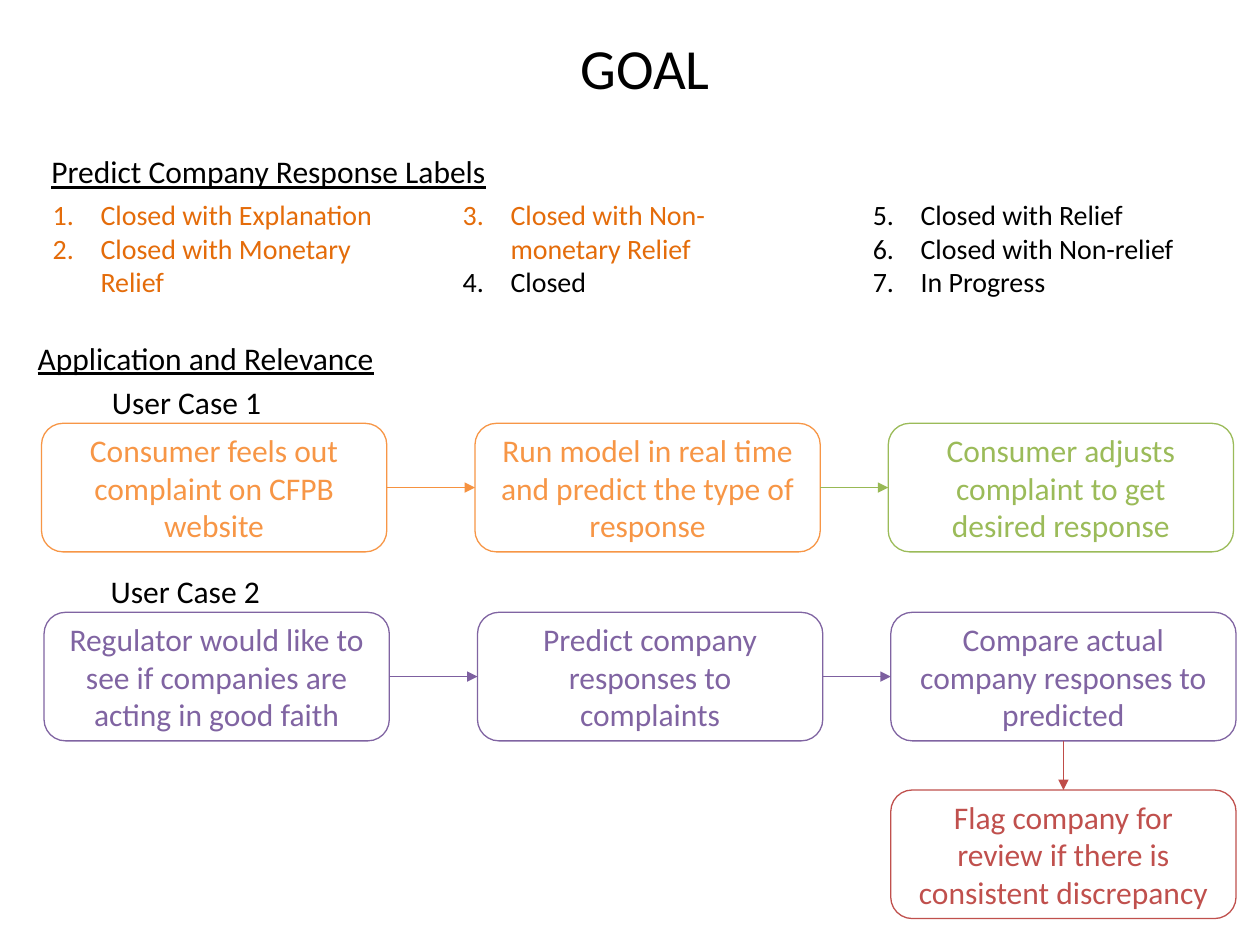
"""Build the GOAL slide: response labels and two user-case flows."""
import pptx
import pptx.dml.color
import pptx.enum.shapes
import pptx.enum.text
import pptx.oxml.ns
import pptx.util
from lxml import etree

RGBColor = pptx.dml.color.RGBColor
Inches = pptx.util.Inches
Pt = pptx.util.Pt
ALIGN = pptx.enum.text.PP_ALIGN
ANCHOR = pptx.enum.text.MSO_ANCHOR
AUTO_SIZE = pptx.enum.text.MSO_AUTO_SIZE
qn = pptx.oxml.ns.qn

BLACK = RGBColor(0x00, 0x00, 0x00)
DARK_ORANGE = RGBColor(0xE4, 0x6C, 0x0A)
ORANGE = RGBColor(0xF7, 0x96, 0x46)
ORANGE_ARROW = RGBColor(0xF6, 0x92, 0x40)
GREEN = RGBColor(0x9B, 0xBB, 0x59)
GREEN_ARROW = RGBColor(0x98, 0xB9, 0x55)
PURPLE = RGBColor(0x80, 0x64, 0xA2)
PURPLE_ARROW = RGBColor(0x7D, 0x60, 0xA0)
RED = RGBColor(0xC0, 0x50, 0x4D)
RED_ARROW = RGBColor(0xBF, 0x4C, 0x48)

STEP_COLUMNS = (0.33, 3.77, 7.05)
STEP_SIZE = (2.74, 1.02)
CASE_2_SHIFT = 0.02
CASE_1_TOP, CASE_2_TOP, FLAG_TOP = 3.36, 4.86, 6.27
TOP, LEFT, BOTTOM, RIGHT = range(4)

LABELS = (
    ("Closed with Explanation", DARK_ORANGE),
    ("Closed with Monetary Relief", DARK_ORANGE),
    ("Closed with Non-monetary Relief", DARK_ORANGE),
    ("Closed", BLACK),
    ("Closed with Relief", BLACK),
    ("Closed with Non-relief", BLACK),
    ("In Progress", BLACK),
)
CASE_1 = (
    ("Consumer feels out complaint on CFPB website", ORANGE),
    ("Run model in real time and predict the type of response", ORANGE),
    ("Consumer adjusts complaint to get desired response", GREEN),
)
CASE_2 = (
    ("Regulator would like to see if companies are acting in good faith", PURPLE),
    ("Predict company responses to complaints", PURPLE),
    ("Compare actual company responses to predicted", PURPLE),
)


def format_paragraph(paragraph, size, color, align=ALIGN.LEFT, underline=None):
    """Style every run of a paragraph."""
    paragraph.alignment = align
    for run in paragraph.runs:
        run.font.name = "Calibri"
        run.font.size = Pt(size)
        run.font.color.rgb = color
        run.font.underline = underline


def add_title(slide, text):
    """Place and format the title placeholder."""
    title = slide.shapes.title
    title.left, title.top = Inches(0.62), Inches(0.25)
    title.width, title.height = Inches(9), Inches(0.56)
    frame = title.text_frame
    frame.text = text
    frame.auto_size = AUTO_SIZE.NONE
    frame.vertical_anchor = ANCHOR.MIDDLE
    format_paragraph(frame.paragraphs[0], 32.4, BLACK, ALIGN.CENTER)


def add_caption(slide, text, left, top, width, underline=None):
    """Add a one-line heading."""
    caption = slide.shapes.add_textbox(
        Inches(left), Inches(top), Inches(width), Inches(0.4))
    frame = caption.text_frame
    frame.text = text
    frame.word_wrap = bool(underline)
    frame.auto_size = AUTO_SIZE.SHAPE_TO_FIT_TEXT
    format_paragraph(frame.paragraphs[0], 18, BLACK, underline=underline)


def add_numbered_columns(slide, labels):
    """Add the numbered labels in a three-column text box."""
    box = slide.shapes.add_textbox(
        Inches(0.32), Inches(1.52), Inches(9.46), Inches(0.91))
    frame = box.text_frame
    frame.text = "\n".join(text for text, _ in labels)
    frame.word_wrap = True
    frame.auto_size = AUTO_SIZE.SHAPE_TO_FIT_TEXT
    body = box.element.find(".//" + qn("a:bodyPr"))
    body.set("numCol", "3")
    body.set("spcCol", str(Inches(0.5)))
    for paragraph, (_, color) in zip(frame.paragraphs, labels):
        format_paragraph(paragraph, 16, color)
        properties = paragraph.runs[0].font and box.element.findall(
            ".//" + qn("a:pPr"))[-1]
        properties.set("marL", str(Inches(0.38)))
        properties.set("indent", str(-Inches(0.38)))
        etree.SubElement(properties, qn("a:buFont"), typeface="+mj-lt")
        etree.SubElement(properties, qn("a:buAutoNum"), type="arabicPeriod")


def add_step(slide, text, color, left, top):
    """Add one outlined step of a flow."""
    step = slide.shapes.add_shape(
        pptx.enum.shapes.MSO_SHAPE.ROUNDED_RECTANGLE,
        Inches(left), Inches(top), *map(Inches, STEP_SIZE))
    step.shadow.inherit = False
    step.fill.background()
    step.line.color.rgb = color
    step.line.width = Pt(0.75)
    frame = step.text_frame
    frame.text = text
    frame.word_wrap = True
    frame.vertical_anchor = ANCHOR.MIDDLE
    format_paragraph(frame.paragraphs[0], 18, color, ALIGN.CENTER)
    return step


def add_arrow(slide, start, start_side, end, end_side, color):
    """Connect two steps with an arrow."""
    arrow = slide.shapes.add_connector(
        pptx.enum.shapes.MSO_CONNECTOR.STRAIGHT, 0, 0, 0, 0)
    arrow.begin_connect(start, start_side)
    arrow.end_connect(end, end_side)
    arrow.line.color.rgb = color
    arrow.line.width = Pt(0.75)
    properties = arrow.element.find(qn("p:spPr"))
    etree.SubElement(properties.find(qn("a:ln")), qn("a:tailEnd"), type="triangle")
    etree.SubElement(properties, qn("a:effectLst"))


def add_flow(slide, content, top, arrow_colors, shift=0):
    """Add a row of steps joined from left to right."""
    steps = [add_step(slide, text, color, left + shift, top)
             for (text, color), left in zip(content, STEP_COLUMNS)]
    for start, end, color in zip(steps, steps[1:], arrow_colors):
        add_arrow(slide, start, RIGHT, end, LEFT, color)
    return steps


def main():
    """Build and save the slide."""
    deck = pptx.Presentation()
    deck.slide_width, deck.slide_height = Inches(10), Inches(7.5)
    slide = deck.slides.add_slide(deck.slide_layouts[5])
    add_title(slide, "GOAL")

    compare = add_flow(slide, CASE_2, CASE_2_TOP,
                       (PURPLE_ARROW, PURPLE_ARROW), CASE_2_SHIFT)[-1]
    flag = add_step(
        slide, "Flag company for review if there is consistent discrepancy",
        RED, STEP_COLUMNS[-1] + CASE_2_SHIFT, FLAG_TOP)
    add_arrow(slide, compare, BOTTOM, flag, TOP, RED_ARROW)

    add_numbered_columns(slide, LABELS)
    add_caption(slide, "Predict Company Response Labels", 0.31, 1.16, 3.74, True)
    add_caption(slide, "Application and Relevance", 0.2, 2.64, 3.74, True)
    add_flow(slide, CASE_1, CASE_1_TOP, (ORANGE_ARROW, GREEN_ARROW))
    add_caption(slide, "User Case 1", 0.79, 2.99, 1.4)
    add_caption(slide, "User Case 2", 0.78, 4.49, 1.4)
    deck.save("out.pptx")


main()
